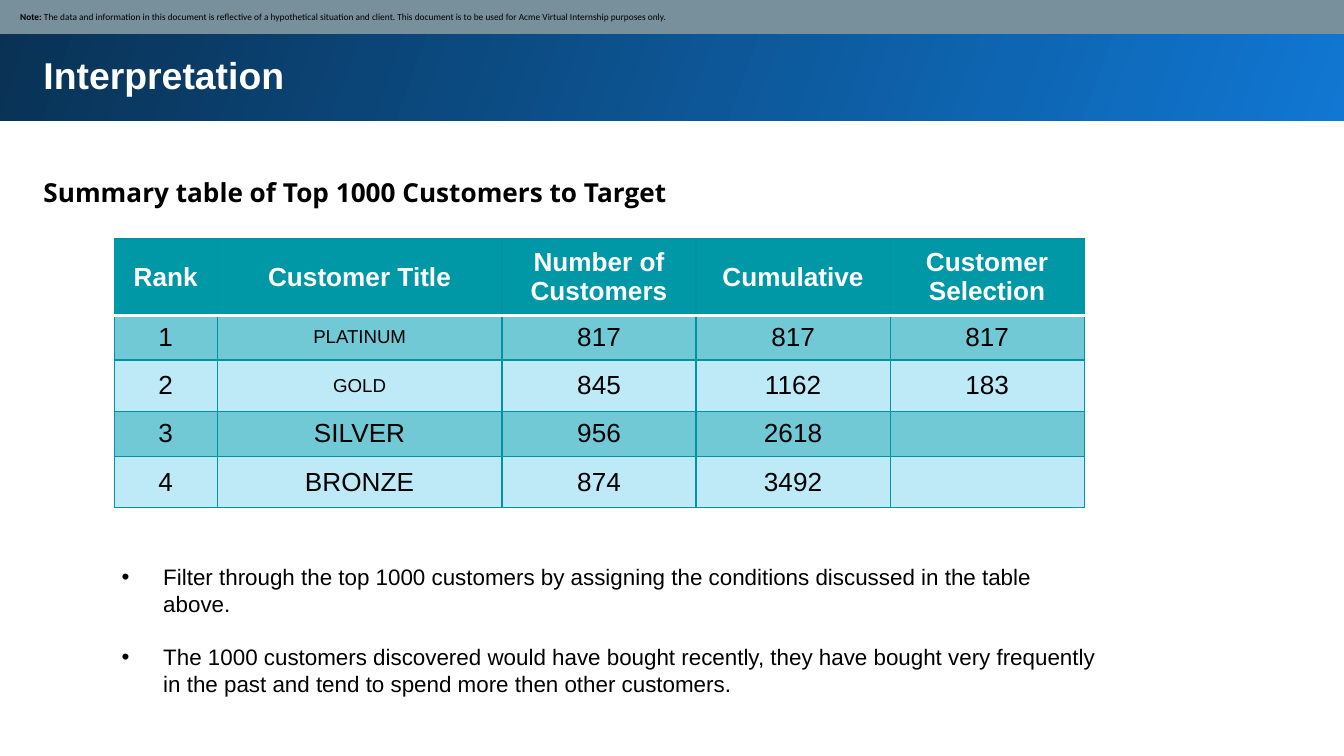
from lxml.etree import SubElement
from pptx import Presentation
from pptx.dml.color import RGBColor
from pptx.enum.shapes import MSO_SHAPE
from pptx.enum.text import MSO_ANCHOR, PP_ALIGN
from pptx.oxml import parse_xml
from pptx.oxml.ns import nsdecls, qn
from pptx.util import Inches, Pt

NAVY = RGBColor(0x09, 0x31, 0x53)
BLUE = RGBColor(0x10, 0x77, 0xD2)
SLATE = RGBColor(0x78, 0x90, 0x9C)
TEAL = RGBColor(0x00, 0x97, 0xA7)
MID_TEAL = RGBColor(0x71, 0xC9, 0xD5)
PALE_TEAL = RGBColor(0xBE, 0xE9, 0xF7)
GRID_LINE = RGBColor(0x00, 0x94, 0xA3)
WHITE = RGBColor(0xFF, 0xFF, 0xFF)
BLACK = RGBColor(0x00, 0x00, 0x00)

presentation = Presentation()
presentation.slide_width = Inches(10)
presentation.slide_height = presentation.slide_width * 9 // 16
COLUMN = presentation.slide_width / 100
ROW = presentation.slide_height / 100
slide = presentation.slides.add_slide(presentation.slide_layouts[6])
shapes = slide.shapes


def place(left, top, width, height):
    """Turn columns and rows of the 100 x 100 slide grid into lengths."""
    return int(left * COLUMN), int(top * ROW), int(width * COLUMN), int(height * ROW)


def style(paragraph, name, size, color, bold=False):
    font = paragraph.font
    font.name, font.size, font.bold = name, Pt(size), bold
    font.color.rgb = color


# Title band
band = shapes.add_shape(MSO_SHAPE.RECTANGLE, *place(-0.2, -0.36, 100.5, 16.36))
band.shadow.inherit = False
band.line.fill.background()
band.fill.gradient()
band.fill.gradient_angle = 160
for stop, color in zip(band.fill.gradient_stops, (BLUE, NAVY)):
    stop.color.rgb = color

# Title and subtitle
for text, top, height, name, size, color, spacing in (
    ("Interpretation", 5.16, 14.76, "Arial", 20, WHITE, 1.0),
    ("Summary table of Top 1000 Customers to Target", 21, 8.18, "Open Sans", 14, BLACK, 1.15),
):
    frame = shapes.add_textbox(*place(2.25, top, 93.7, height)).text_frame
    frame.word_wrap = True
    frame.margin_left = frame.margin_right = Inches(0.1)
    frame.margin_top = frame.margin_bottom = Inches(0.1)
    paragraph = frame.paragraphs[0]
    paragraph.text = text
    paragraph.line_spacing = spacing
    style(paragraph, name, size, color, bold=True)

# Note strip
strip = shapes.add_shape(MSO_SHAPE.RECTANGLE, *place(-0.1, -0.15, 100.3, 4.65))
strip.shadow.inherit = False
strip.line.fill.background()
strip.fill.solid()
strip.fill.fore_color.rgb = SLATE
frame = strip.text_frame
frame.word_wrap = True
frame.vertical_anchor = MSO_ANCHOR.MIDDLE
frame.margin_left = Inches(0.16)
frame.margin_top = frame.margin_right = frame.margin_bottom = Inches(0.05)
paragraph = frame.paragraphs[0]
paragraph.alignment = PP_ALIGN.LEFT
style(paragraph, "Calibri", 5, BLACK)
for text, bold in (
    ("Note: ", True),
    ("The data and information in this document is reflective of a hypothetical situation and client. "
     "This document is to be used for Acme Virtual Internship purposes only.", False),
):
    run = paragraph.add_run()
    run.text = text
    run.font.bold = bold
    run.font.color.rgb = BLACK

# Customer table
CUSTOMERS = (
    ("Rank", "Customer Title", "Number of Customers", "Cumulative", "Customer\nSelection"),
    ("1", "PLATINUM", "817", "817", "817"),
    ("2", "GOLD", "845", "1162", "183"),
    ("3", "SILVER", "956", "2618", ""),
    ("4", "BRONZE", "874", "3492", ""),
)
COLUMN_WIDTHS = (7.66, 21.2, 14.44, 14.44, 14.44)
ROW_HEIGHTS = (7.05, 5.69, 6.8, 5.95, 6.8)
SMALL_TITLES = ("PLATINUM", "GOLD")

table = shapes.add_table(
    len(CUSTOMERS), len(COLUMN_WIDTHS),
    *place(8.5, 31.6, sum(COLUMN_WIDTHS), sum(ROW_HEIGHTS))).table
for column, width in zip(table.columns, COLUMN_WIDTHS):
    column.width = int(width * COLUMN)
for row, height in zip(table.rows, ROW_HEIGHTS):
    row.height = int(height * ROW)

for row_index, values in enumerate(CUSTOMERS):
    header = row_index == 0
    for column_index, value in enumerate(values):
        cell = table.cell(row_index, column_index)
        cell.text = value
        cell.vertical_anchor = MSO_ANCHOR.MIDDLE
        cell.fill.solid()
        cell.fill.fore_color.rgb = TEAL if header else (PALE_TEAL, MID_TEAL)[row_index % 2]
        for paragraph in cell.text_frame.paragraphs:
            paragraph.alignment = PP_ALIGN.CENTER
            style(paragraph, "Arial", 10 if value in SMALL_TITLES else 14,
                  WHITE if header else BLACK, bold=header)
        properties = cell._tc.get_or_add_tcPr()
        for position, side in enumerate("LRTB"):
            under_header = (row_index, side) in ((0, "B"), (1, "T"))
            color, width = (WHITE, 2) if under_header else (GRID_LINE, 0.75)
            properties.insert(position, parse_xml(
                f'<a:ln{side} {nsdecls("a")} w="{Pt(width)}"><a:solidFill>'
                f'<a:srgbClr val="{color}"/></a:solidFill></a:ln{side}>'))

# Bullets
frame = shapes.add_textbox(*place(8.55, 73.65, 73.7, 19.75)).text_frame
frame.word_wrap = True
frame.margin_left = frame.margin_right = Inches(0.05)
frame.margin_top = frame.margin_bottom = Inches(0.05)
for index, text in enumerate((
    "Filter through the top 1000 customers by assigning the conditions discussed in the table above.",
    "The 1000 customers discovered would have bought recently, they have bought very frequently "
    "in the past and tend to spend more then other customers.",
)):
    paragraph = frame.add_paragraph() if index else frame.paragraphs[0]
    paragraph.text = text
    paragraph.space_before = Pt(14 * index)
    properties = paragraph._p.get_or_add_pPr()
    properties.set("marL", str(Inches(0.31)))
    properties.set("indent", str(-Inches(0.31)))
    SubElement(properties, qn("a:buFont"), typeface="Arial")
    SubElement(properties, qn("a:buChar"), char="•")
    style(paragraph, "Arial", 12, BLACK)

presentation.save("out.pptx")
